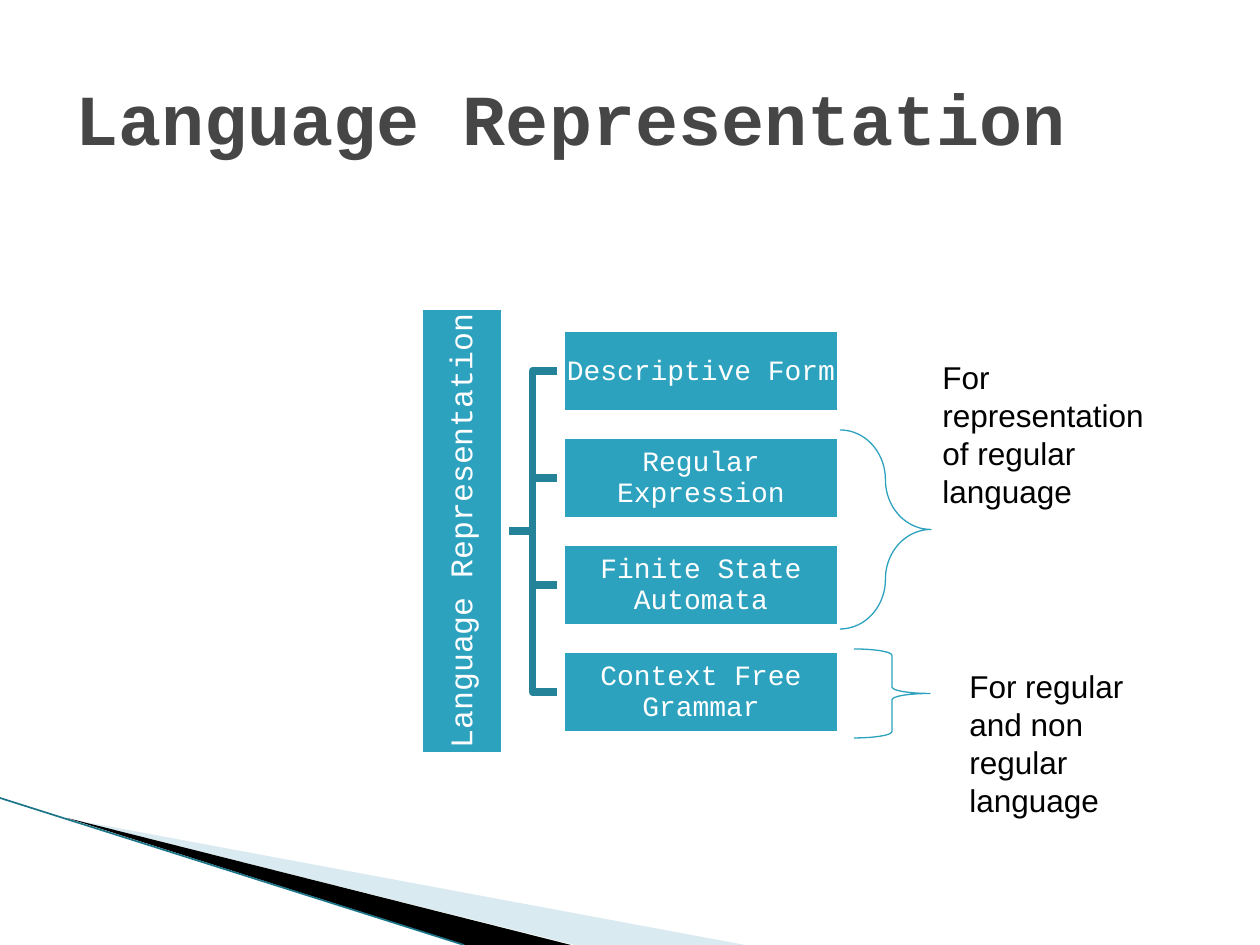
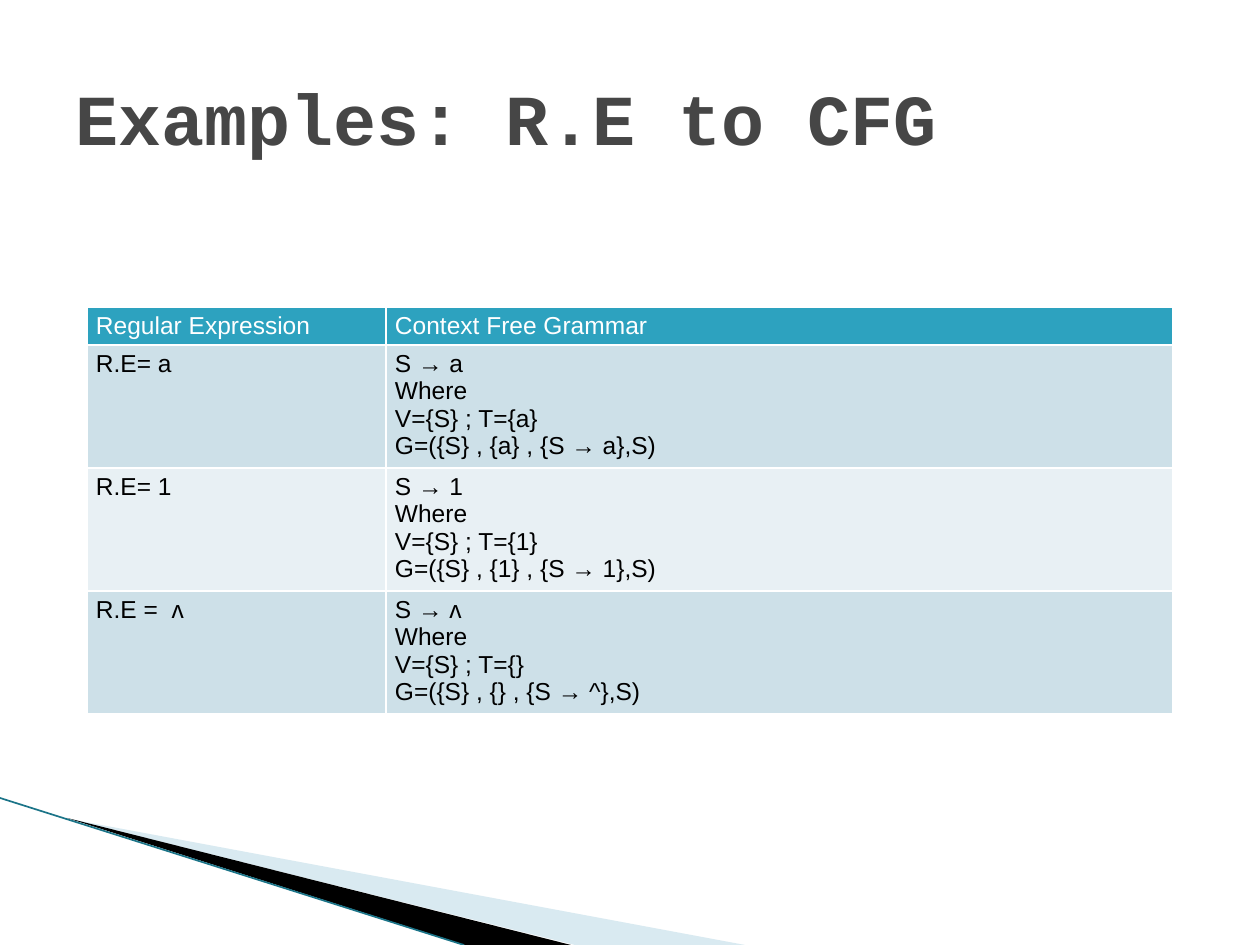
from pptx import Presentation
from pptx.dml.color import RGBColor
from pptx.enum.shapes import MSO_CONNECTOR as Link, MSO_SHAPE as Form
from pptx.enum.text import MSO_ANCHOR as Anchor, MSO_AUTO_SIZE as Fit, PP_ALIGN as Align
from pptx.oxml.ns import qn
from pptx.util import Pt
from lxml.etree import SubElement as sub

SCALE = 914400 / 126  # EMU in one px
WIDE, HIGH = 1260, 945
MONO, SANS = "Courier New", "Arial"
TEAL, DEEP, EDGE = "2DA2BF", "248299", "1B7488"
PALE, MIST, ICE = "A0CBDC", "CDE0E8", "E8F0F4"
GREY, BLACK, WHITE = "464646", "000000", "FFFFFF"


def emu(*px):
    return [round(n * SCALE) for n in px]


def rgb(code):
    return RGBColor.from_string(code)


class Deck:
    def __init__(self):
        self.prs = Presentation()
        self.prs.slide_width, self.prs.slide_height = emu(WIDE, HIGH)
        self.slide = None

    def start(self, title):
        """Add a slide with its title and the corner band."""
        self.slide = self.prs.slides.add_slide(self.prs.slide_layouts[5])
        head = self.slide.shapes.title
        head.left, head.top, head.width, head.height = emu(63, 38, 1134, 158)
        head.text_frame.auto_size = Fit.NONE
        head.text_frame.vertical_anchor = Anchor.MIDDLE
        self.label(head.text_frame, title, 41, GREY, MONO, bold=True)
        self.wedge([(69, 819), (745, HIGH), (575, HIGH)], PALE, 40)
        self.wedge([(67, 818), (571, HIGH), (465, HIGH)], BLACK)
        self.link(Link.STRAIGHT, (0, 798, 464, HIGH), EDGE, 0.95)

    def label(self, frame, text, size, color, font=SANS, align=Align.LEFT,
              bold=False, space=None):
        frame.text = text
        for para in frame.paragraphs:
            para.alignment = align
            para.line_spacing = space
            for run in para.runs:
                run.font.name, run.font.size, run.font.bold = font, Pt(size), bold
                run.font.color.rgb = rgb(color)

    def wedge(self, points, color, alpha=100):
        pen = self.slide.shapes.build_freeform(*points[0], scale=SCALE)
        pen.add_line_segments(points[1:], close=True)
        shape = pen.convert_to_shape()
        shape.shadow.inherit = False
        shape.fill.solid()
        shape.fill.fore_color.rgb = rgb(color)
        shape.line.fill.background()
        if alpha < 100:
            tint = shape._element.spPr.find(qn("a:solidFill"))[0]
            sub(tint, qn("a:alpha"), val=str(alpha * 1000))

    def link(self, kind, ends, color, width):
        line = self.slide.shapes.add_connector(kind, *emu(*ends))
        line.line.color.rgb = rgb(color)
        line.line.width = Pt(width)
        sub(line._element.spPr, qn("a:effectLst"))

    def box(self, text, area, size, turn=0):
        shape = self.slide.shapes.add_shape(Form.RECTANGLE, *emu(*area))
        shape.rotation = turn
        shape.shadow.inherit = False
        shape.fill.solid()
        shape.fill.fore_color.rgb = rgb(TEAL)
        shape.line.color.rgb = rgb(WHITE)
        shape.line.width = Pt(4.33)
        frame = shape.text_frame
        frame.margin_left, frame.margin_top, frame.margin_right, frame.margin_bottom = emu(1, 1, 1, 1)
        frame.word_wrap = True
        frame.vertical_anchor = Anchor.MIDDLE
        self.label(frame, text, size, WHITE, MONO, Align.CENTER, space=0.9)

    def brace(self, area, curve=None):
        shape = self.slide.shapes.add_shape(Form.RIGHT_BRACE, *emu(*area))
        shape.shadow.inherit = False
        shape.fill.background()
        shape.line.color.rgb = rgb(TEAL)
        shape.line.width = Pt(0.75)
        if curve:
            shape.adjustments[0] = curve

    def note(self, text, area):
        frame = self.slide.shapes.add_textbox(*emu(*area)).text_frame
        frame.word_wrap = True
        self.label(frame, text, 18, BLACK)

    def table(self, rows, spot, cols, highs):
        area = emu(*spot, sum(cols), sum(highs))
        grid = self.slide.shapes.add_table(len(rows), len(cols), *area).table
        for col, wide in zip(grid.columns, emu(*cols)):
            col.width = wide
        for row, high in zip(grid.rows, emu(*highs)):
            row.height = high
        for r, row in enumerate(rows):
            fill = TEAL if r == 0 else (ICE, MIST)[r % 2]
            for c, text in enumerate(row):
                self.cell(grid.cell(r, c), text, fill, BLACK if r else WHITE)

    def cell(self, cell, text, fill, color):
        cell.margin_left, cell.margin_top, cell.margin_right, cell.margin_bottom = emu(9, 5, 9, 5)
        cell.fill.solid()
        cell.fill.fore_color.rgb = rgb(fill)
        self.label(cell.text_frame, text, 14, color)
        # Borders stand before the fill
        props = cell._tc.get_or_add_tcPr()
        for i, side in enumerate("LRTB"):
            edge = sub(props, qn("a:ln" + side), w=str(Pt(1)))
            sub(sub(edge, qn("a:solidFill")), qn("a:srgbClr"), val=WHITE)
            props.insert(i, edge)


def tree(deck):
    deck.start("Language Representation")
    forms = ["Descriptive Form", "Regular Expression",
             "Finite State Automata", "Context Free Grammar"]
    left, top, wide, high, step = 561, 328, 280, 86, 107
    tops = [top + i * step for i in range(len(forms))]
    mid = (tops[0] + tops[-1] + high) // 2
    # Branches lie behind the boxes
    for y in tops:
        deck.link(Link.ELBOW, (504, mid, left, y + high // 2), DEEP, 4.33)
    long = 450
    deck.box("Language Representation",
             (462 - long // 2, mid - high // 2, long, high), 18, 270)
    for form, y in zip(forms, tops):
        deck.box(form, (left, y, wide, high), 16)
    # Braces and what they stand for
    deck.brace((840, 430, 91, 199), 1.06)
    deck.note("For representation of regular language", (930, 352, 243, 165))
    deck.brace((854, 649, 76, 89))
    deck.note("For regular and non regular language", (957, 661, 217, 165))


def rules(deck):
    deck.start("Examples: R.E to CFG")
    rows = [("Regular Expression", "Context Free Grammar")]
    # Expression, produced symbol, terminal, symbol in the full grammar
    for expr, sym, term, last in [("R.E= a", "a", "a", "a"),
                                  ("R.E= 1", "1", "1", "1"),
                                  ("R.E =  ᴧ", "ᴧ", "", "^")]:
        rows.append((expr, f"S → {sym}\nWhere\nV={{S}} ; T={{{term}}}\n"
                           f"G=({{S}} , {{{term}}} , {{S → {last}}},S)"))
    deck.table(rows, (87, 307), (299, 787), (38, 123, 123, 123))


def main():
    deck = Deck()
    tree(deck)
    rules(deck)
    deck.prs.save("out.pptx")


if __name__ == "__main__":
    main()
